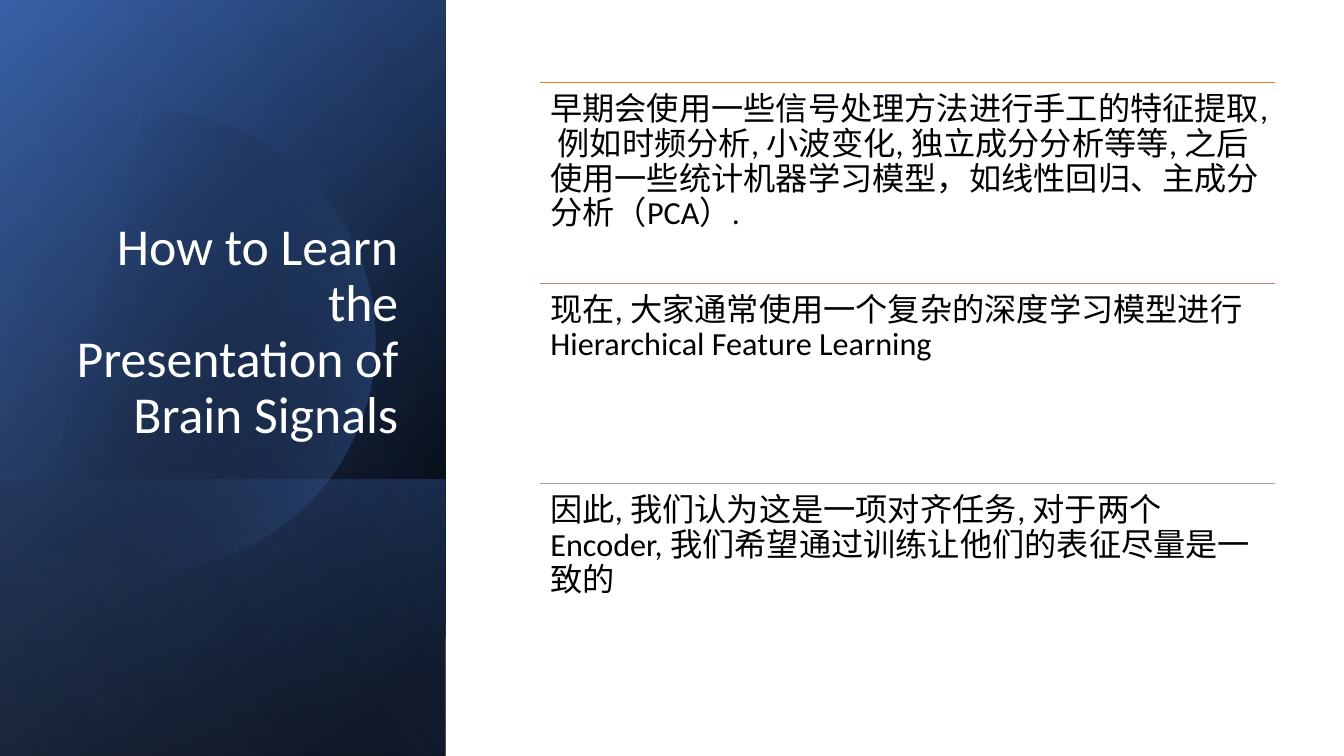
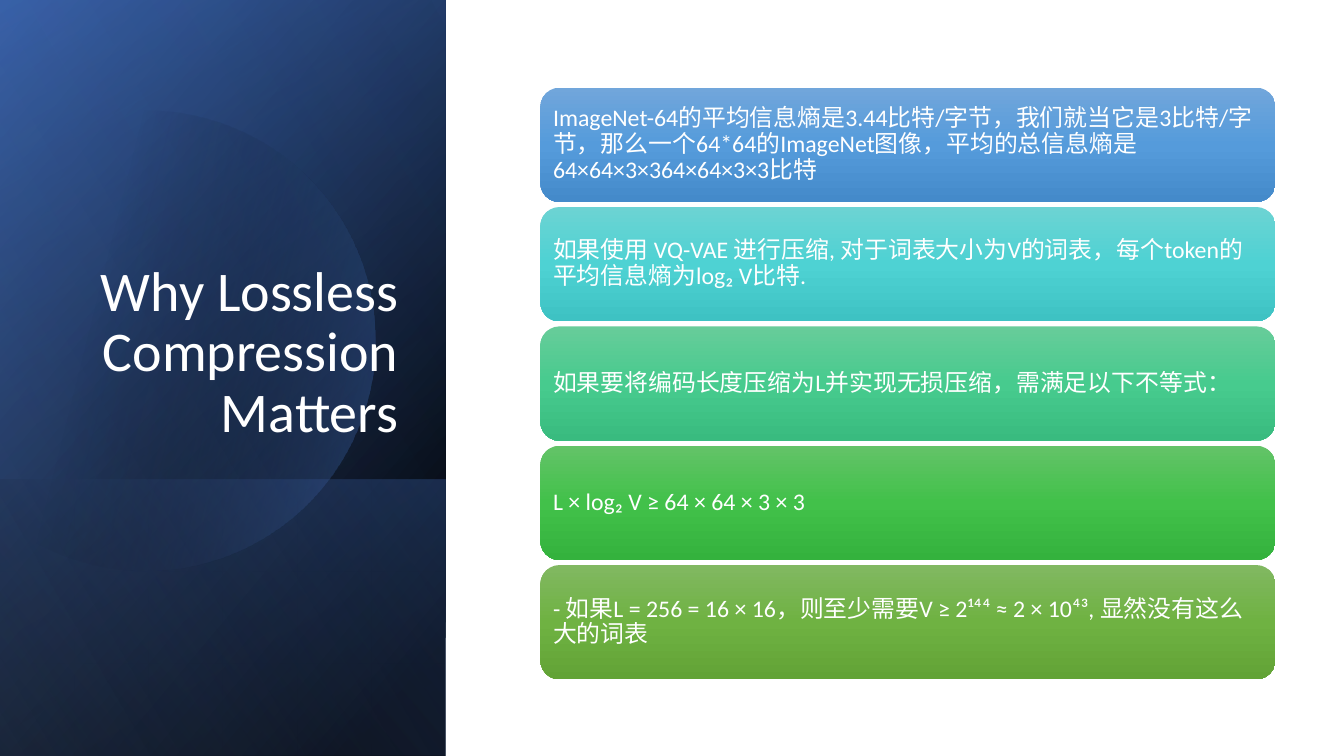
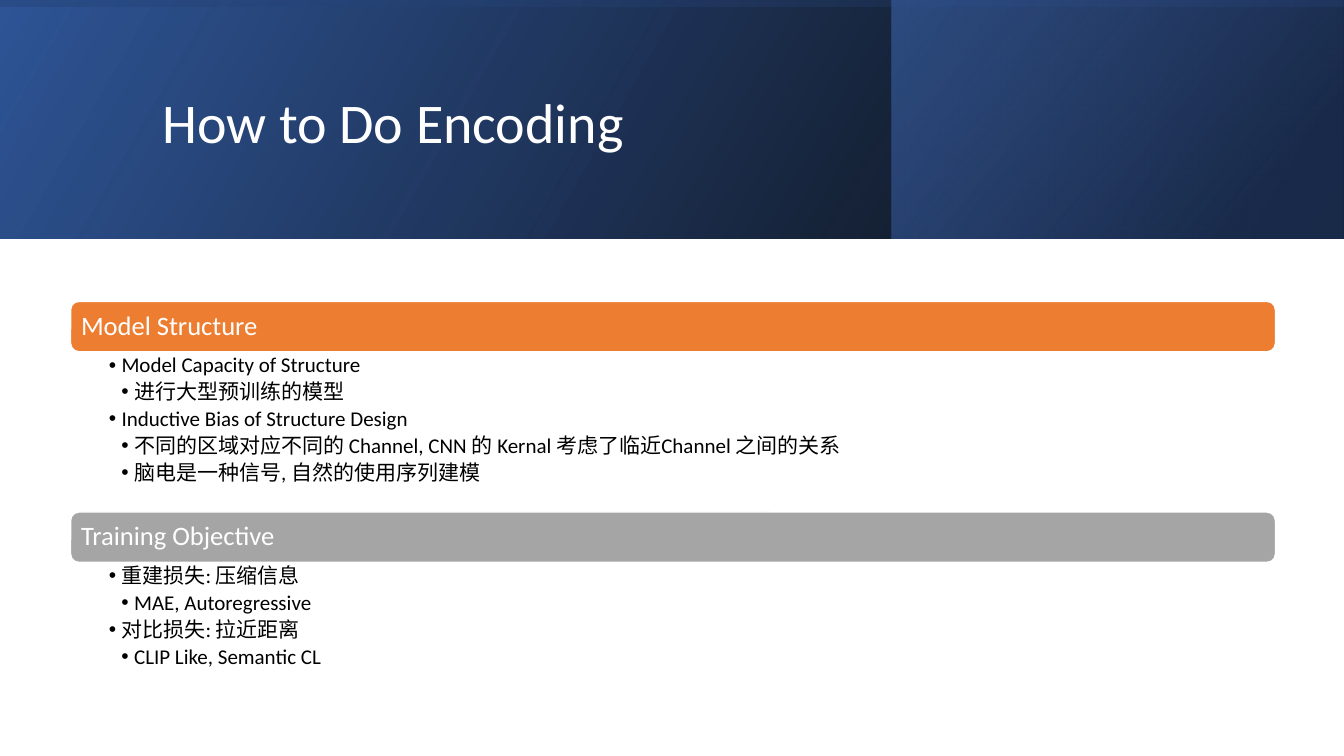
from dataclasses import dataclass
from math import acos, cos, degrees, radians, sin
from typing import Any, NamedTuple

from lxml.etree import SubElement
from pptx import Presentation
from pptx.dml.color import RGBColor
from pptx.enum.shapes import MSO_CONNECTOR as Connector, MSO_SHAPE as Preset
from pptx.enum.text import MSO_ANCHOR as Anchor, MSO_AUTO_SIZE as AutoSize, PP_ALIGN as Align
from pptx.oxml.ns import qn
from pptx.util import Inches, Pt


class Stop(NamedTuple):
    position: int
    color: str
    opacity: int = 100


class Box(NamedTuple):
    left: float
    top: float
    width: float
    height: float

    def emu(self) -> list[int]:
        return [Inches(value) for value in self]

    def rows(self, count: int, gap: float = 0) -> list["Box"]:
        height = (self.height - gap * (count - 1)) / count
        return [Box(self.left, self.top + i * (height + gap), self.width, height)
                for i in range(count)]

    def turned(self) -> "Box":
        shift = (self.width - self.height) / 2
        return Box(self.left + shift, self.top - shift, self.height, self.width)


@dataclass(frozen=True)
class Theme:
    width: float = 13.33
    height: float = 7.5
    font: str = "Calibri"
    white: str = "FFFFFF"
    black: str = "000000"
    navy: str = "2F5597"
    deep: str = "203864"
    blue: str = "4472C4"
    pale: str = "8FAADC"
    orange: str = "ED7D31"
    rose: str = "C48170"
    gray: str = "A5A5A5"
    title_size: int = 40
    long_title_size: int = 37
    statement_size: int = 23
    heading_size: int = 19
    card_size: int = 17
    list_size: int = 15
    line_spacing: float = 0.9


THEME = Theme()


@dataclass(frozen=True)
class Panel:
    box: Box
    angle: float
    stops: tuple[Stop, ...]
    turn: int = 0


@dataclass(frozen=True)
class Statement:
    rule_color: str
    text: str


@dataclass(frozen=True)
class Card:
    shades: tuple[str, str, str]
    text: str


class Item(NamedTuple):
    level: int
    text: str


@dataclass(frozen=True)
class Section:
    color: str
    heading: str
    list_height: float
    items: tuple[Item, ...]


SIDE = Box(0, 0, 4.42, THEME.height)
SIDE_FOOT = Box(0, 4.76, SIDE.width, 2.74)
SIDE_TITLE = Box(0.64, 1.84, 3.41, 2.62)
BANNER = Box(0, 0, THEME.width, 2.37)
BANNER_END = Box(8.84, 0, 4.48, BANNER.height)
BANNER_TITLE = Box(1.51, 0.38, 10.63, 1.72)
STATEMENT_AREA = Box(5.36, 0.82, 7.29, 5.97)
CARD_AREA = Box(5.36, 0.87, 7.29, 5.87)
CARD_GAP = 0.05
SECTION_AREA = Box(0.7, 2.99, 11.95, 3.77)
HEADING_HEIGHT = 0.5
DISC_CENTER = (1.44, 3.38)
DISC_RADIUS = 2.28
DISC_STOPS = (Stop(29, THEME.black, 0), Stop(100, THEME.blue, 43))
DISC_ANGLE = 14

SIDE_BASE = (
    Panel(SIDE, 50, (Stop(8, THEME.black), Stop(100, THEME.navy)), 90),
    Panel(SIDE, 30, (Stop(0, THEME.black, 0), Stop(99, THEME.blue, 46)), 90),
    Panel(SIDE_FOOT, 130, (Stop(2, THEME.blue, 29), Stop(100, THEME.black, 30)), 90),
)
SIDE_GLOSS = Panel(SIDE, 120, (Stop(0, THEME.black, 0), Stop(99, THEME.pale, 11)), 90)
BANNER_PANELS = (
    Panel(BANNER, 330, (Stop(0, THEME.black, 96), Stop(100, THEME.navy))),
    Panel(BANNER_END, 320, (Stop(19, THEME.deep, 68), Stop(100, THEME.blue, 48))),
    Panel(BANNER, 350, (Stop(23, THEME.navy, 16), Stop(99, THEME.black, 45)), 270),
)

STATEMENTS = (
    Statement(THEME.orange, "早期会使用一些信号处理方法进行手工的特征提取, 例如时频分析, 小波变化, 独立成分分析等等, "
                            "之后使用一些统计机器学习模型，如线性回归、主成分分析（PCA）."),
    Statement(THEME.rose, "现在, 大家通常使用一个复杂的深度学习模型进行 Hierarchical Feature Learning"),
    Statement(THEME.gray, "因此, 我们认为这是一项对齐任务, 对于两个 Encoder, "
                          "我们希望通过训练让他们的表征尽量是一致的"),
)
CARDS = (
    Card(("71A6DB", "559BDB", "448ACA"),
         "ImageNet-64的平均信息熵是3.44比特/字节，我们就当它是3比特/字节，"
         "那么一个64*64的ImageNet图像，平均的总信息熵是64×64×3×364×64×3×3比特"),
    Card(("6CD3D3", "4ED2D3", "3EC2C3"),
         "如果使用 VQ-VAE 进行压缩, 对于词表大小为V的词表，每个token的平均信息熵为log₂ V比特."),
    Card(("67CC9A", "47CB8E", "39BB7F"), "如果要将编码长度压缩为L并实现无损压缩，需满足以下不等式："),
    Card(("63C368", "42C14A", "34B23D"), "L × log₂ V ≥ 64 × 64 × 3 × 3"),
    Card(("81B861", "6FB242", "62A336"),
         "- 如果L = 256 = 16 × 16，则至少需要V ≥ 2¹⁴⁴ ≈ 2 × 10⁴³, 显然没有这么大的词表"),
)
SECTIONS = (
    Section(THEME.orange, "Model Structure", 1.59, (
        Item(1, "Model Capacity of Structure"),
        Item(2, "进行大型预训练的模型"),
        Item(1, "Inductive Bias of Structure Design"),
        Item(2, "不同的区域对应不同的 Channel, CNN 的 Kernal 考虑了临近Channel 之间的关系"),
        Item(2, "脑电是一种信号, 自然的使用序列建模"),
    )),
    Section(THEME.gray, "Training Objective", 1.18, (
        Item(1, "重建损失: 压缩信息"),
        Item(2, "MAE, Autoregressive"),
        Item(1, "对比损失: 拉近距离"),
        Item(2, "CLIP Like, Semantic CL"),
    )),
)


def apply(target: Any, values: dict[str, Any]) -> None:
    for name, value in values.items():
        setattr(target, name, value)


def place(target: Any, box: Box) -> None:
    apply(target, dict(zip(("left", "top", "width", "height"), box.emu())))


def format_frame(frame: Any, anchor: Any, margins: tuple[float, float, float, float]) -> None:
    left, top, right, bottom = map(Inches, margins)
    apply(frame, {"word_wrap": True, "auto_size": AutoSize.NONE, "vertical_anchor": anchor,
                  "margin_left": left, "margin_top": top,
                  "margin_right": right, "margin_bottom": bottom})


def write(paragraph: Any, text: str, size: int, color: str, **values: Any) -> None:
    apply(paragraph, {"alignment": Align.LEFT, "line_spacing": THEME.line_spacing,
                      "space_before": Pt(0), **values})
    run = paragraph.add_run()
    run.text = text
    apply(run.font, {"name": THEME.font, "size": Pt(size)})
    run.font.color.rgb = RGBColor.from_string(color)


def fill_gradient(shape: Any, stops: tuple[Stop, ...], angle: float) -> None:
    shape.fill.gradient()
    gradient = shape.element.spPr.find(qn("a:gradFill"))
    gradient.clear()
    gradient.set("rotWithShape", "1")
    stop_list = SubElement(gradient, qn("a:gsLst"))
    for stop in stops:
        entry = SubElement(stop_list, qn("a:gs"), pos=str(stop.position * 1000))
        color = SubElement(entry, qn("a:srgbClr"), val=stop.color)
        if stop.opacity < 100:
            SubElement(color, qn("a:alpha"), val=str(stop.opacity * 1000))
    SubElement(gradient, qn("a:lin"), ang=str(round(angle * 60000)), scaled="0")


def clear_effects(shape: Any) -> None:
    shape.shadow.inherit = False
    shape.line.fill.background()


def add_preset(slide: Any, preset: Any, box: Box) -> Any:
    shape = slide.shapes.add_shape(preset, *box.emu())
    clear_effects(shape)
    return shape


def add_panel(slide: Any, panel: Panel) -> None:
    shape = add_preset(slide, Preset.RECTANGLE, panel.box.turned() if panel.turn else panel.box)
    shape.rotation = panel.turn
    shape.element.spPr.get_or_add_xfrm().set("flipH", "1")
    fill_gradient(shape, panel.stops, panel.angle)


def add_disc(slide: Any) -> None:
    center_x, center_y = DISC_CENTER
    reach = degrees(acos(-center_x / DISC_RADIUS))
    steps = 90
    angles = [radians(reach * (2 * i / steps - 1)) for i in range(steps + 1)]
    points = [(Inches(center_x + DISC_RADIUS * cos(a)), Inches(center_y + DISC_RADIUS * sin(a)))
              for a in angles]
    builder = slide.shapes.build_freeform(*points[0])
    builder.add_line_segments(points[1:], close=True)
    disc = builder.convert_to_shape()
    clear_effects(disc)
    fill_gradient(disc, DISC_STOPS, DISC_ANGLE)


def add_title(slide: Any, text: str, box: Box, size: int, anchor: Any, alignment: Any) -> None:
    title = slide.shapes.title
    title.element.getparent().append(title.element)
    place(title, box)
    format_frame(title.text_frame, anchor, (0.1, 0.05, 0.1, 0.05))
    write(title.text_frame.paragraphs[0], text, size, THEME.white, alignment=alignment)


def add_side_slide(deck: Any, title: str, size: int) -> Any:
    slide = deck.slides.add_slide(deck.slide_layouts.get_by_name("Title Only"))
    for panel in SIDE_BASE:
        add_panel(slide, panel)
    add_disc(slide)
    add_panel(slide, SIDE_GLOSS)
    add_title(slide, title, SIDE_TITLE, size, Anchor.BOTTOM, Align.RIGHT)
    return slide


def add_statement(slide: Any, statement: Statement, box: Box) -> None:
    left, top, width, _ = box.emu()
    rule = slide.shapes.add_connector(Connector.STRAIGHT, left, top, left + width, top)
    rule.line.color.rgb = RGBColor.from_string(statement.rule_color)
    rule.line.width = Pt(0.5)
    SubElement(rule.element.spPr, qn("a:effectLst"))
    frame = slide.shapes.add_textbox(*box.emu()).text_frame
    format_frame(frame, Anchor.TOP, (0.1,) * 4)
    write(frame.paragraphs[0], statement.text, THEME.statement_size, THEME.black)


def add_card(slide: Any, card: Card, box: Box) -> None:
    shape = add_preset(slide, Preset.ROUNDED_RECTANGLE, box)
    stops = tuple(Stop(50 * i, shade) for i, shade in enumerate(card.shades))
    fill_gradient(shape, stops, 90)
    format_frame(shape.text_frame, Anchor.MIDDLE, (0.07,) * 4)
    write(shape.text_frame.paragraphs[0], card.text, THEME.card_size, THEME.white)


def add_heading(slide: Any, section: Section, box: Box) -> None:
    bar = add_preset(slide, Preset.ROUNDED_RECTANGLE, box)
    bar.fill.solid()
    bar.fill.fore_color.rgb = RGBColor.from_string(section.color)
    bar.line.color.rgb = RGBColor.from_string(THEME.white)
    bar.line.width = Pt(1)
    format_frame(bar.text_frame, Anchor.MIDDLE, (0.08,) * 4)
    write(bar.text_frame.paragraphs[0], section.heading, THEME.heading_size, THEME.white)


def fill_list(body: Any, items: tuple[Item, ...], box: Box) -> None:
    place(body, box)
    frame = body.text_frame
    format_frame(frame, Anchor.TOP, (0.38, 0.03, 0.15, 0.03))
    for index, item in enumerate(items):
        paragraph = frame.add_paragraph() if index else frame.paragraphs[0]
        properties = paragraph._p.get_or_add_pPr()
        properties.set("marL", str(Inches(0.125 * item.level)))
        properties.set("indent", str(Inches(-0.125)))
        SubElement(properties, qn("a:buChar"), char="•")
        write(paragraph, item.text, THEME.list_size, THEME.black,
              level=item.level, space_after=Pt(3))


def build_learning(deck: Any) -> None:
    slide = add_side_slide(deck, "How to Learn the Presentation of Brain Signals",
                           THEME.long_title_size)
    for statement, box in zip(STATEMENTS, STATEMENT_AREA.rows(len(STATEMENTS))):
        add_statement(slide, statement, box)


def build_compression(deck: Any) -> None:
    slide = add_side_slide(deck, "Why Lossless Compression Matters", THEME.title_size)
    for card, box in zip(CARDS, CARD_AREA.rows(len(CARDS), CARD_GAP)):
        add_card(slide, card, box)


def build_encoding(deck: Any) -> None:
    slide = deck.slides.add_slide(deck.slide_layouts.get_by_name("Two Content"))
    bodies = [holder for holder in slide.placeholders if holder.placeholder_format.idx > 0]
    for panel in BANNER_PANELS:
        add_panel(slide, panel)
    add_title(slide, "How to Do Encoding", BANNER_TITLE, THEME.title_size,
              Anchor.MIDDLE, Align.LEFT)
    left, top, width, _ = SECTION_AREA
    for section, body in zip(SECTIONS, bodies):
        add_heading(slide, section, Box(left, top, width, HEADING_HEIGHT))
        top += HEADING_HEIGHT
        fill_list(body, section.items, Box(left, top, width, section.list_height))
        top += section.list_height


def main() -> None:
    deck = Presentation()
    apply(deck, {"slide_width": Inches(THEME.width), "slide_height": Inches(THEME.height)})
    for build in (build_learning, build_compression, build_encoding):
        build(deck)
    deck.save("out.pptx")


if __name__ == "__main__":
    main()
